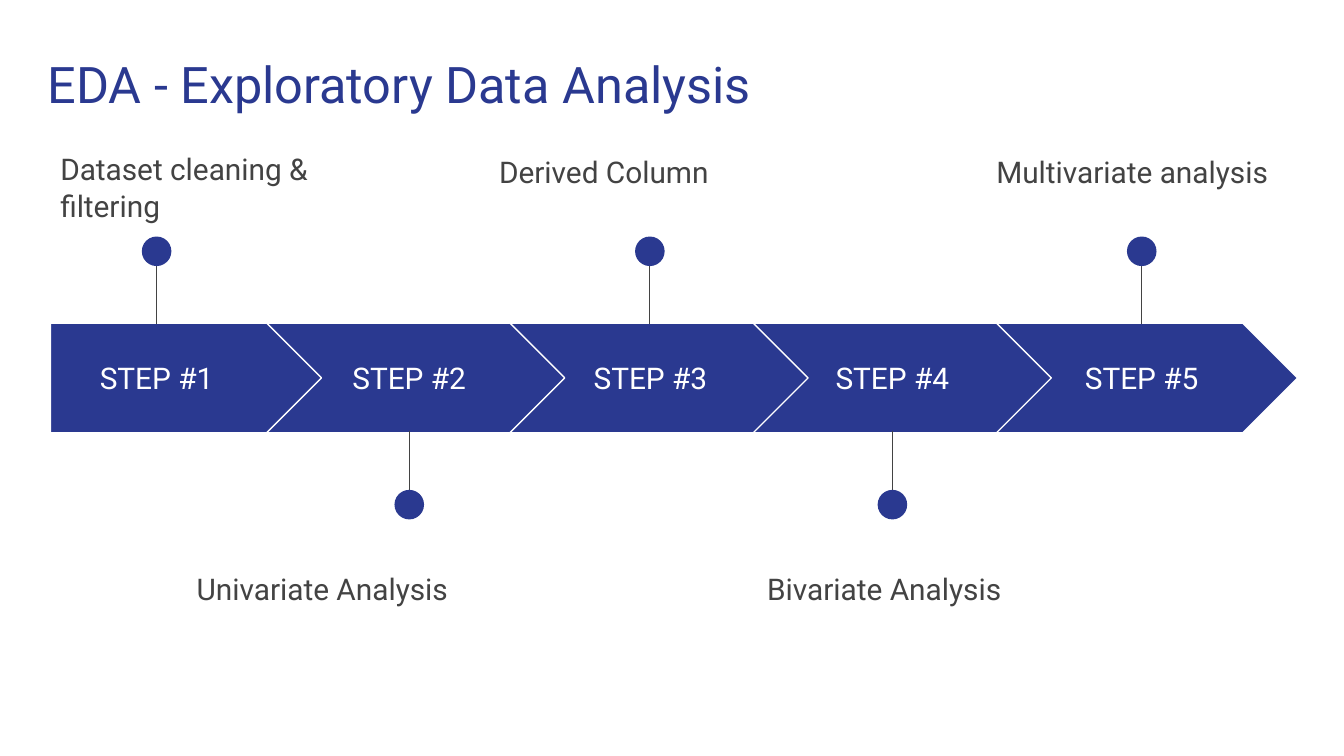
from dataclasses import dataclass

from pptx import Presentation
from pptx.dml.color import RGBColor
from pptx.enum.shapes import MSO_CONNECTOR as Connector, MSO_SHAPE as Shape
from pptx.enum.text import MSO_ANCHOR as Anchor, PP_ALIGN as Align
from pptx.oxml.ns import qn
from pptx.util import Pt
from lxml.etree import SubElement

EMU_PER_PX = 4572  # 200 px to the inch


@dataclass(frozen=True)
class Theme:
    font: str = "Roboto"
    navy: str = "2A3990"
    gray: str = "434343"
    white: str = "FFFFFF"
    title_size: int = 27
    body_size: int = 16
    line_width: float = 0.75


@dataclass(frozen=True)
class Step:
    note: str
    note_left: int
    label_left: int
    pin_x: int
    label_width: int = 288
    note_spacing: float = 1.15


THEME = Theme()
STEPS = [
    Step("Dataset cleaning & filtering", 70, 74, 233, 318, 1.05),
    Step("Univariate Analysis", 273, 465, 609),
    Step("Derived Column", 723, 824, 967),
    Step("Bivariate Analysis", 1122, 1184, 1328),
    Step("Multivariate analysis", 1463, 1555, 1699),
]
BAND_TOP, BAND_HEIGHT = 481, 163
BAND_LEFT, STEP_PITCH = 35, 362
DOT = 44


def px(*lengths):
    return [length * EMU_PER_PX for length in lengths]


def color(value):
    return RGBColor.from_string(value)


def set_values(target, values):
    for name, value in values.items():
        setattr(target, name, value)


def add_text(page, bounds, text, ink, size=THEME.body_size,
             anchor=Anchor.TOP, **para_format):
    frame = page.shapes.add_textbox(*px(*bounds)).text_frame
    inset, = px(20)
    set_values(frame, {
        "word_wrap": True, "vertical_anchor": anchor,
        "margin_left": inset, "margin_right": inset,
        "margin_top": inset, "margin_bottom": inset,
    })
    para = frame.paragraphs[0]
    set_values(para, para_format)
    span = para.add_run()
    span.text = text
    set_values(span.font, {"name": THEME.font, "size": Pt(size)})
    span.font.color.rgb = color(ink)


def add_filled(shapes, kind, bounds, outline=None):
    shape = shapes.add_shape(kind, *px(*bounds))
    shape.shadow.inherit = False
    shape.fill.solid()
    shape.fill.fore_color.rgb = color(THEME.navy)
    if outline:
        shape.line.color.rgb = color(outline)
        shape.line.width = Pt(THEME.line_width)
    else:
        shape.line.fill.background()
    return shape


def add_arrow(page, index):
    """Draw one link of the band; the first has a flat left edge."""
    if index == 0:
        kind, left, width = Shape.PENTAGON, 75, 409
    else:
        kind, left, width = Shape.CHEVRON, BAND_LEFT + index * STEP_PITCH, 448
    bounds = (left, BAND_TOP, width, BAND_HEIGHT)
    arrow = add_filled(page.shapes, kind, bounds, THEME.white)
    arrow.adjustments[0] = 0.5


def add_pin(page, x, above):
    """Group a dot with the stem that ties it to the band."""
    stem_start, stem_end, dot_top = (360, 482, 352) if above else (764, 642, 729)
    pin = page.shapes.add_group_shape()
    stem = pin.shapes.add_connector(
        Connector.STRAIGHT, *px(x, stem_start, x, stem_end))
    stem.line.color.rgb = color(THEME.gray)
    stem.line.width = Pt(THEME.line_width)
    SubElement(stem._element.spPr, qn("a:effectLst"))
    add_filled(pin.shapes, Shape.OVAL, (x - DOT // 2, dot_top, DOT, DOT))


def add_step(page, index, step):
    above = index % 2 == 0
    add_arrow(page, index)
    add_text(page, (step.label_left, 511, step.label_width, 102),
             f"STEP #{index + 1}", THEME.white,
             anchor=Anchor.MIDDLE, alignment=Align.CENTER)
    add_pin(page, step.pin_x, above)
    note_top, note_height = (201, 154) if above else (822, 198)
    add_text(page, (step.note_left, note_top, 490, note_height),
             step.note, THEME.gray,
             line_spacing=step.note_spacing, space_after=Pt(12))


def main():
    deck = Presentation()
    deck.slide_width, deck.slide_height = px(2000, 1125)
    page = deck.slides.add_slide(deck.slide_layouts[6])
    for index, step in enumerate(STEPS):
        add_step(page, index, step)
    add_text(page, (51, 59, 1902, 116), "EDA - Exploratory Data Analysis",
             THEME.navy, THEME.title_size)
    deck.save("out.pptx")


if __name__ == "__main__":
    main()
